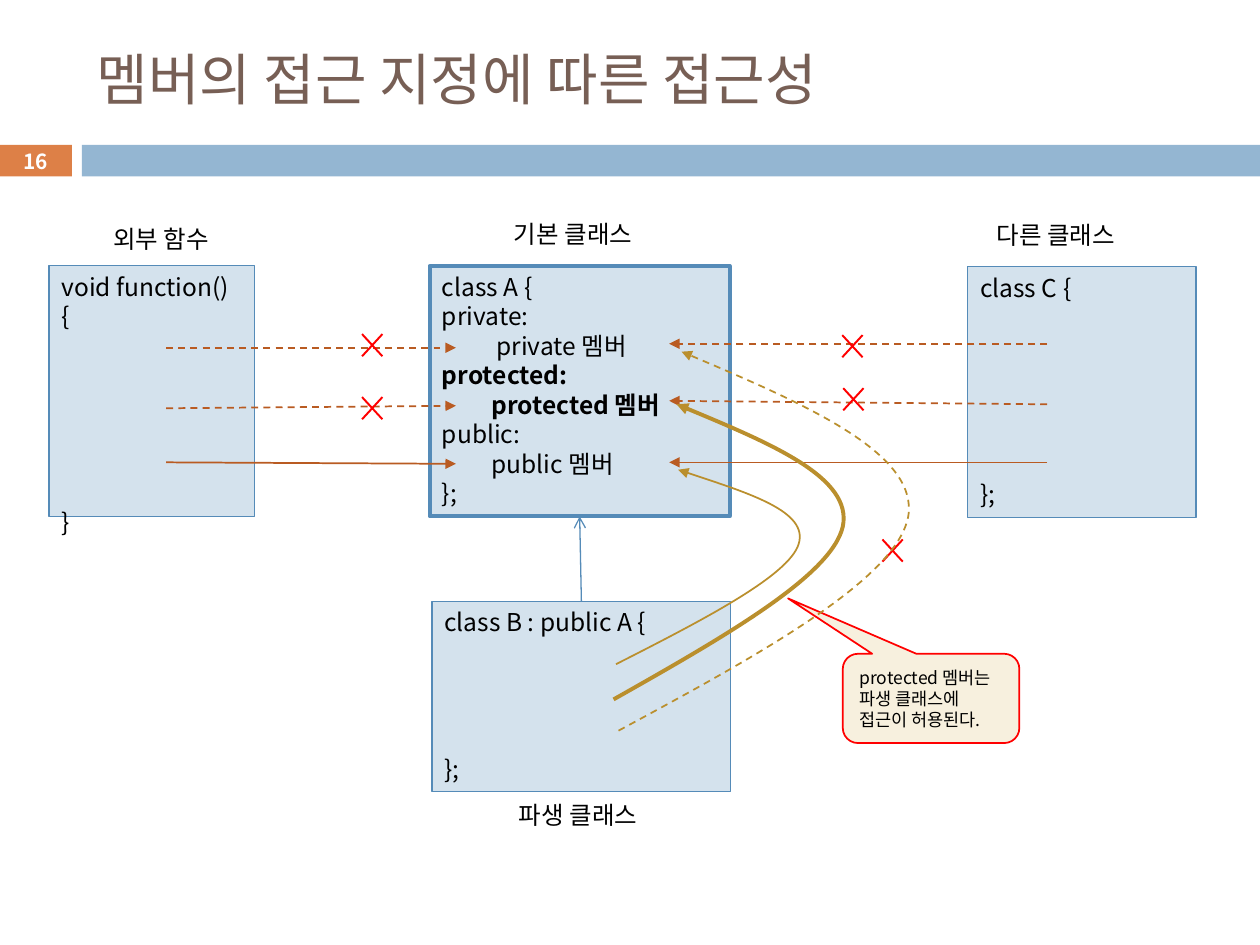
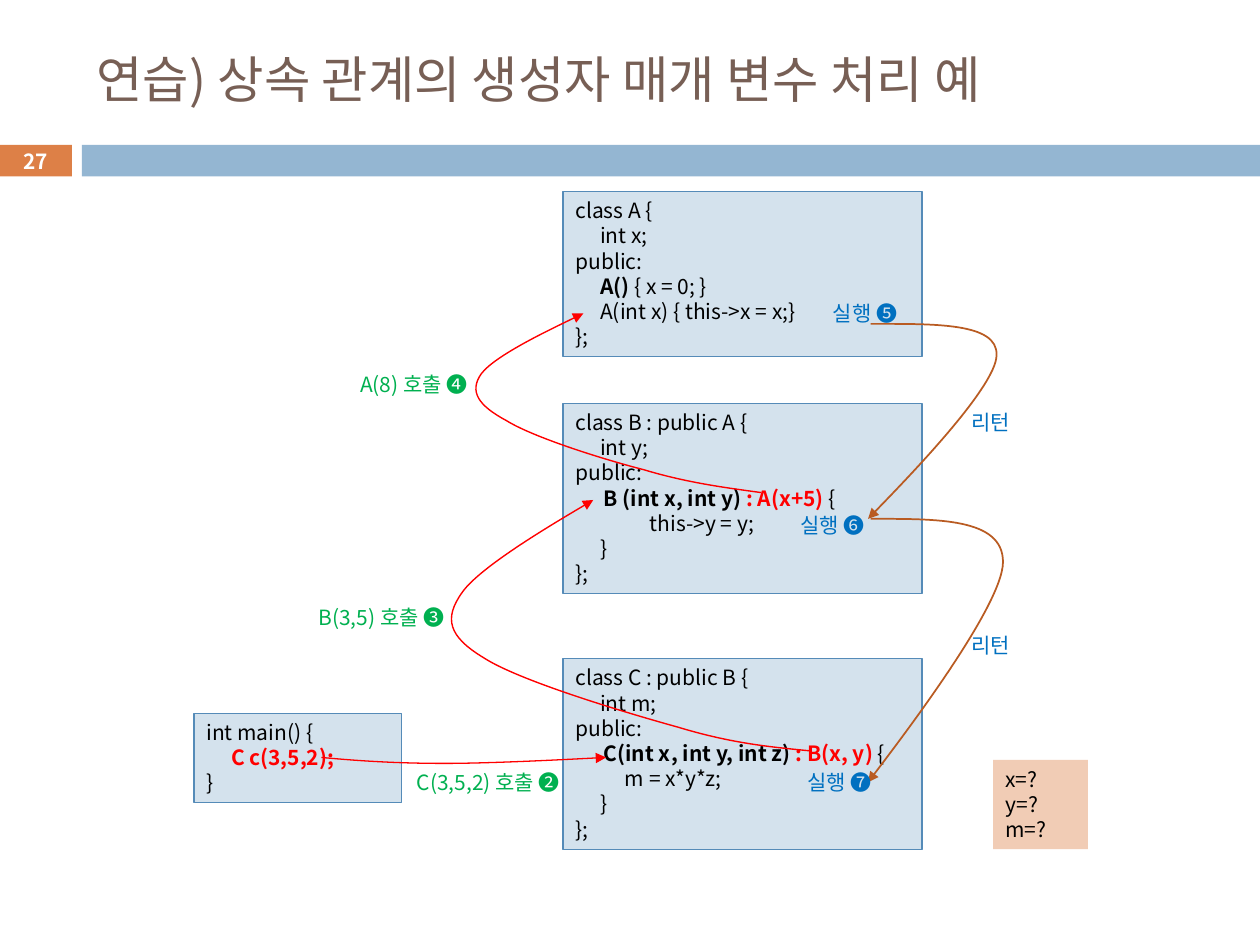
from collections import namedtuple

from lxml.etree import SubElement
from pptx import Presentation
from pptx.dml.color import RGBColor
from pptx.enum.dml import MSO_LINE
from pptx.enum.shapes import MSO_CONNECTOR, MSO_SHAPE
from pptx.enum.text import MSO_ANCHOR, PP_ALIGN
from pptx.oxml.ns import qn
from pptx.util import Cm, Pt

FONT = "Noto Sans CJK KR"
COLORS = {
    "title": "775F55", "number": "DD8047", "band": "94B6D2", "white": "FFFFFF",
    "black": "000000", "code": "D4E2ED", "edge": "558BB8", "access": "B95B22",
    "derived": "BA8F2D", "red": "FF0000", "note": "F7F0DE", "call": "00B050",
    "run": "0070C0", "result": "F1CCB5",
}
LINE_HEIGHT = 1.2
TAB = 0.5

# One line of text: runs are (text, bold, color); indent in cm, gap in empty lines
Line = namedtuple("Line", "runs indent gap", defaults=(0, 0))


def line(text, indent=0, gap=0, bold=False, color="black"):
    return Line([(text, bold, color)], indent, gap)


def rgb(name):
    return RGBColor.from_string(COLORS[name])


def write(shape, lines, size, anchor=MSO_ANCHOR.TOP, align=PP_ALIGN.LEFT, exact=True):
    frame = shape.text_frame
    frame.word_wrap = True
    frame.vertical_anchor = anchor
    for index, item in enumerate(lines):
        paragraph = frame.add_paragraph() if index else frame.paragraphs[0]
        paragraph.alignment = align
        if exact:
            paragraph.line_spacing = Pt(size * LINE_HEIGHT)
        if item.gap:
            paragraph.space_before = Pt(item.gap * size * LINE_HEIGHT)
        paragraph.font.size = Pt(size)
        paragraph.font.name = FONT
        _, bold, color = item.runs[0]
        if all(run[1:] == (bold, color) for run in item.runs):
            paragraph.font.bold = bold
            paragraph.font.color.rgb = rgb(color)
            paragraph.text = "".join(run[0] for run in item.runs)
        else:
            for text, bold, color in item.runs:
                run = paragraph.add_run()
                run.text = text
                run.font.bold = bold
                run.font.color.rgb = rgb(color)
        properties = paragraph._p.get_or_add_pPr()
        properties.set("marL", str(Cm(item.indent)))
        properties.set("indent", "0")
        SubElement(properties.find(qn("a:defRPr")), qn("a:ea"), typeface=FONT)


def add_box(slide, box, fill, edge=None, width=0.75, kind=MSO_SHAPE.RECTANGLE):
    shape = slide.shapes.add_shape(kind, *map(Cm, box))
    shape.shadow.inherit = False
    shape.fill.solid()
    shape.fill.fore_color.rgb = rgb(fill)
    if edge:
        shape.line.color.rgb = rgb(edge)
        shape.line.width = Pt(width)
    else:
        shape.line.fill.background()
    return shape


def code_box(slide, box, lines, size, width=0.75):
    shape = add_box(slide, box, "code", "edge", width)
    write(shape, lines, size)
    return shape


def label(slide, box, text, size, color="black"):
    shape = slide.shapes.add_textbox(*map(Cm, box))
    shape.text_frame.margin_right = 0
    write(shape, [line(text, color=color)], size)


def style_arrow(shape, color, width, dashed=False, head="triangle"):
    shape.line.color.rgb = rgb(color)
    shape.line.width = Pt(width)
    if dashed:
        shape.line.dash_style = MSO_LINE.DASH
    SubElement(shape.line._get_or_add_ln(), qn("a:tailEnd"), type=head)


def straight_arrow(slide, start, end, color, width, dashed=False, head="triangle"):
    connector = slide.shapes.add_connector(
        MSO_CONNECTOR.STRAIGHT, *map(Cm, (*start, *end)))
    style_arrow(connector, color, width, dashed, head)
    SubElement(connector._element.spPr, qn("a:effectLst"))
    return connector


def curved_arrow(slide, start, segments, color, width, dashed=False):
    """Each segment holds two control points and an end point."""
    builder = slide.shapes.build_freeform(*map(Cm, start))
    builder.add_line_segments(
        [tuple(map(Cm, segment[4:])) for segment in segments], close=False)
    shape = builder.convert_to_shape()
    shape.shadow.inherit = False
    shape.fill.background()
    style_arrow(shape, color, width, dashed)
    # Bend the straight segments
    for straight, segment in zip(list(shape._element.iter(qn("a:lnTo"))), segments):
        curve = SubElement(straight.getparent(), qn("a:cubicBezTo"))
        for x, y in zip(segment[::2], segment[1::2]):
            SubElement(curve, qn("a:pt"), x=str(Cm(x) - shape.left),
                       y=str(Cm(y) - shape.top))
        straight.getparent().remove(straight)


def cross(slide, left, top):
    shape = add_box(slide, (left, top, 0.79, 0.86), "red", kind=MSO_SHAPE.MATH_MULTIPLY)
    shape.adjustments[0] = 0.05


def add_frame(presentation, title, number, title_size):
    slide = presentation.slides.add_slide(presentation.slide_layouts[6])
    # Title
    heading = slide.shapes.add_textbox(Cm(1.7), Cm(0.64), Cm(22.66), Cm(1.88))
    write(heading, [line(title, color="title")], title_size, MSO_ANCHOR.MIDDLE, exact=False)
    # Number and band
    badge = add_box(slide, (0, 2.92, 1.45, 0.64), "number")
    badge.text_frame.margin_top = badge.text_frame.margin_bottom = 0
    write(badge, [line(str(number), bold=True, color="white")], 11.9,
          MSO_ANCHOR.MIDDLE, PP_ALIGN.CENTER, exact=False)
    add_box(slide, (1.65, 2.92, 23.75, 0.64), "band")
    return slide


def access_arrows(slide, start_x, end_x, rows):
    for start_y, end_y, width, dashed in rows:
        straight_arrow(slide, (start_x, start_y), (end_x, end_y), "access", width, dashed)


def access_slide(presentation):
    slide = add_frame(presentation, "멤버의 접근 지정에 따른 접근성", 16, 32)
    # Classes and function
    base = code_box(slide, (8.66, 5.36, 6.05, 5.05), [
        line("class A {"),
        line("private:"),
        line("private 멤버", 2.2 * TAB),
        line("protected:", bold=True),
        line("protected 멤버", 2 * TAB, bold=True),
        line("public:"),
        line("public 멤버", 2 * TAB),
        line("};"),
    ], 14, 2.25)
    derived = code_box(slide, (8.71, 12.12, 6.02, 3.84),
                       [line("class B : public A {"), line("};", gap=4)], 14)
    code_box(slide, (19.51, 5.38, 4.6, 5.05),
             [line("class C {"), line("};", gap=6)], 14)
    code_box(slide, (0.99, 5.36, 4.14, 5.05),
             [line("void function()\v{"), line("}", gap=6)], 14)
    # Inheritance
    inherits = straight_arrow(slide, (11.72, 12.12), (11.68, 10.41), "edge", 0.75, head="arrow")
    inherits.begin_connect(derived, 0)
    inherits.end_connect(base, 2)
    # Access from outside
    access_arrows(slide, 21.11, 13.49, [
        (6.93, 6.93, 1, True), (8.15, 8.08, 1, True), (9.32, 9.32, 0.75, False)])
    access_arrows(slide, 3.35, 9.19, [
        (7.01, 7.01, 1, True), (8.23, 8.18, 1, True), (9.32, 9.35, 1, False)])
    for left, top in [(7.11, 6.53), (16.79, 6.55), (16.81, 7.62), (7.11, 7.8), (17.6, 10.67)]:
        cross(slide, left, top)
    # Captions
    for left, top, width, text in [
        (2.03, 4.39, 2.69, "외부 함수"), (10.11, 4.29, 3.18, "기본 클래스"),
        (19.84, 4.32, 3.18, "다른 클래스"), (10.21, 16, 3.18, "파생 클래스"),
    ]:
        label(slide, (left, top, width, 0.86), text, 14)
    # Access from the derived class
    curved_arrow(slide, (12.37, 14.1), [
        (14.58, 12.85, 16.76, 11.61, 16.99, 10.62),
        (17.2, 9.63, 15.42, 8.89, 13.64, 8.15)], "derived", 2.25)
    note = add_box(slide, (16.99, 13.18, 3.56, 1.8), "note", "red", 1,
                   MSO_SHAPE.ROUNDED_RECTANGULAR_CALLOUT)
    for index, value in enumerate((-0.81, -1.12, 0.17)):
        note.adjustments[index] = value
    write(note, [line("protected 멤버는 파생 클래스에 접근이 허용된다.")], 10, MSO_ANCHOR.MIDDLE)
    curved_arrow(slide, (12.42, 13.39), [
        (14.17, 12.5, 15.9, 11.61, 16.1, 10.97),
        (16.31, 10.31, 14.99, 9.91, 13.67, 9.47)], "derived", 1)
    curved_arrow(slide, (12.47, 14.73), [
        (15.29, 13.21, 18.08, 11.68, 18.31, 10.41),
        (18.52, 9.14, 16.13, 8.1, 13.74, 7.09)], "derived", 1, True)


def constructor(signature, base_call, indent):
    return Line([(signature, True, "black"), (base_call, True, "red"),
                 ("{", False, "black")], indent)


def constructor_slide(presentation):
    slide = add_frame(presentation, "연습) 상속 관계의 생성자 매개 변수 처리 예", 27, 28.8)
    # Class code
    code_box(slide, (11.35, 3.86, 7.24, 3.33), [
        line("class A {"),
        line("int x;", TAB),
        line("public:"),
        Line([("A() ", True, "black"), ("{ x = 0; }", False, "black")], TAB),
        line("A(int x) { this->x = x;}", TAB),
        line("};"),
    ], 12)
    for top, header, member, signature, base_call, body, body_indent in [
        (8.13, "class B : public A {", "int y;", "B (int x, int y)", " : A(x+5) ",
         "this->y = y;", 3 * TAB),
        (13.28, "class C : public B {", "int m;", "C(int x, int y, int z) ", ": B(x, y) ",
         "m = x*y*z;", 2 * TAB),
    ]:
        code_box(slide, (11.35, top, 7.24, 3.84), [
            line(header),
            line(member, TAB),
            line("public:"),
            constructor(signature, base_call, 1.15 * TAB),
            line(body, body_indent),
            line("}", TAB),
            line("};"),
        ], 12)
    code_box(slide, (3.91, 14.38, 4.19, 1.8), [
        line("int main() {"),
        line("C c(3,5,2);", TAB, bold=True, color="red"),
        line("}"),
    ], 12)
    # Calls
    curved_arrow(slide, (15.34, 9.93), [
        (14.61, 9.83, 13.84, 9.73, 12.98, 9.47),
        (12.12, 9.25, 10.74, 8.81, 10.21, 8.48),
        (9.65, 8.18, 9.45, 7.9, 9.7, 7.54),
        (9.98, 7.16, 11.76, 6.32, 11.76, 6.32)], "red", 0.79)
    curved_arrow(slide, (16.36, 15.14), [
        (15.54, 15.06, 14.76, 14.99, 13.67, 14.66),
        (12.55, 14.35, 10.46, 13.72, 9.75, 13.26),
        (9.04, 12.83, 8.94, 12.47, 9.32, 11.94),
        (9.7, 11.4, 11.96, 10.08, 11.96, 10.08)], "red", 0.79)
    curved_arrow(slide, (6.48, 15.27), [
        (7.24, 15.34, 8, 15.39, 8.97, 15.39),
        (9.93, 15.39, 12.22, 15.27, 12.22, 15.27)], "red", 0.75)
    # Returns
    curved_arrow(slide, (17.55, 6.53), [
        (18.82, 6.53, 20.12, 6.5, 20.09, 7.16),
        (20.09, 7.82, 17.5, 10.46, 17.5, 10.46)], "access", 1)
    curved_arrow(slide, (17.55, 10.46), [
        (18.9, 10.46, 20.22, 10.44, 20.22, 11.33),
        (20.22, 12.22, 17.5, 15.77, 17.5, 15.77)], "access", 1)
    # Step labels
    for left, top, width, text, color in [
        (6.17, 12.07, 3.2, "B(3,5) 호출 ❸", "call"),
        (7.01, 7.37, 2.82, "A(8) 호출 ❹", "call"),
        (8.15, 15.39, 3.81, "C(3,5,2) 호출 ❷", "call"),
        (16.54, 5.94, 2.06, "실행 ❺", "run"),
        (15.88, 10.21, 1.91, "실행 ❻", "run"),
        (16.03, 15.39, 2.11, "실행 ❼", "run"),
        (19.33, 8.13, 1.37, "리턴", "run"),
        (19.33, 12.62, 1.37, "리턴", "run"),
    ]:
        label(slide, (left, top, width, 0.76), text, 12, color)
    # Question
    question = add_box(slide, (20.02, 15.32, 1.91, 1.8), "result")
    write(question, [line(f"{name}=?") for name in "xym"], 12)


def main():
    presentation = Presentation()
    presentation.slide_width, presentation.slide_height = Cm(25.4), Cm(19.05)
    access_slide(presentation)
    constructor_slide(presentation)
    presentation.save("out.pptx")


if __name__ == "__main__":
    main()
